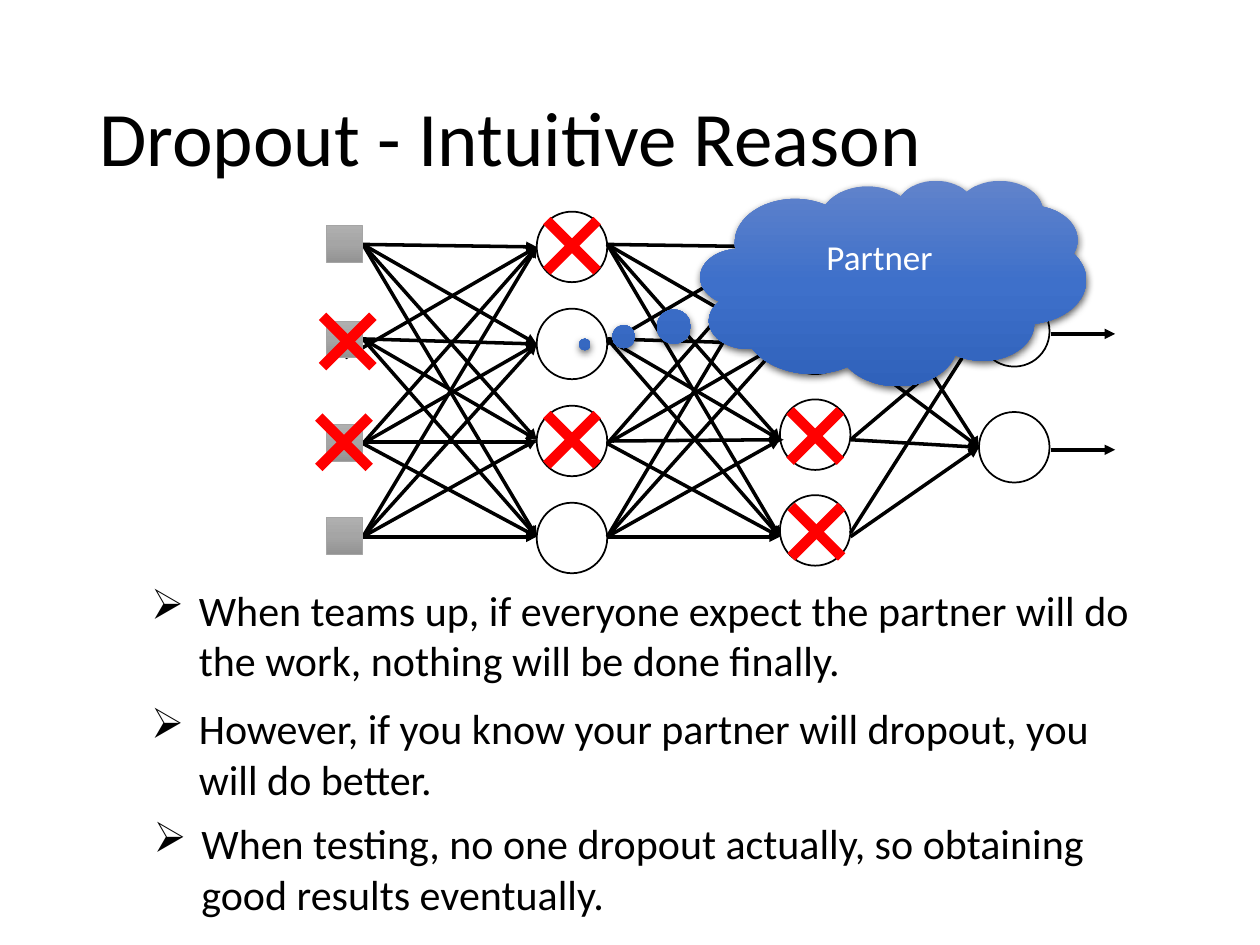
from copy import deepcopy
from itertools import product

from lxml.etree import SubElement
from pptx import Presentation
from pptx.dml.color import RGBColor
from pptx.enum.shapes import MSO_CONNECTOR, MSO_SHAPE
from pptx.enum.text import MSO_ANCHOR, PP_ALIGN
from pptx.oxml import parse_xml
from pptx.oxml.ns import nsdecls, qn
from pptx.util import Inches, Pt

BLACK = RGBColor(0x00, 0x00, 0x00)
WHITE = RGBColor(0xFF, 0xFF, 0xFF)
RED = RGBColor(0xFF, 0x00, 0x00)
GRAY = RGBColor(0xA5, 0xA5, 0xA5)
GRAYS = (RGBColor(0xAF, 0xAF, 0xAF), GRAY, RGBColor(0x93, 0x93, 0x93))
BLUES = (RGBColor(0x61, 0x83, 0xCB), RGBColor(0x3E, 0x70, 0xCA), RGBColor(0x30, 0x62, 0xBB))

STARTS = (1.94, 2.69, 3.52, 4.26)
ENDS = (1.96, 2.73, 3.49, 4.26)
LAYERS = (
    (2.88, 4.26, {(2.69, 1.96): (2.74, 2.84, 4.26, 1.96),
                  (3.52, 3.49): (2.9, 3.51, 4.26, 3.51)}),
    (4.82, 6.19, {(2.69, 1.96): (4.82, 2.73, 6.19, 1.93),
                  (3.52, 3.49): (4.86, 3.5, 6.22, 3.49)}),
)
FANS = ((2.63, (1.92, 2.75, 3.49, 4.23)), (3.55, (1.96, 2.79, 3.49, 4.26)))
INPUTS = (1.79, 2.55, 3.37, 4.11)
NODES = ((4.26, 1.68, 4, 0.77), (6.19, 1.65, 4, 0.76), (7.77, 2.35, 2, 0.92))
DROPS = ((4.34, 1.75), (4.34, 3.29), (6.27, 3.26), (6.28, 4.02), (2.53, 3.31), (2.56, 2.51))
POINTS = (
    (1.1, 4.59, 7.98, "When teams up, if everyone expect the partner will do the work, "
     "nothing will be done finally."),
    (1.1, 5.53, 7.72, "However, if you know your partner will dropout, you will do better."),
    (1.12, 6.44, 8.02, "When testing, no one dropout actually, so obtaining good results "
     "eventually."),
)


class Deck:
    """Holds the slide and its shared style."""

    font = "Calibri"

    def __init__(self, slide):
        self.slide = slide
        self.shapes = slide.shapes

    def run(self, para, text, size, color):
        run = para.add_run()
        run.text = text
        run.font.name = self.font
        run.font.size = Pt(size)
        run.font.color.rgb = color

    def text(self, x, y, w, h, words, size, bullet=None):
        frame = self.shapes.add_textbox(Inches(x), Inches(y), Inches(w), Inches(h)).text_frame
        frame.word_wrap = True
        para = frame.paragraphs[0]
        if bullet:
            props = para._p.get_or_add_pPr()
            props.set("marL", str(Inches(0.38)))
            props.set("indent", str(-Inches(0.38)))
            SubElement(props, qn("a:buChar")).set("char", bullet)
        self.run(para, words, size, BLACK)
        return frame

    def shape(self, kind, x, y, w, h, grads=None, edge=None, width=1):
        item = self.shapes.add_shape(kind, Inches(x), Inches(y), Inches(w), Inches(h))
        item.shadow.inherit = False
        if grads:
            self.grade(item, grads)
        else:
            item.fill.background()
        if edge is None:
            item.line.fill.background()
        else:
            item.line.color.rgb = edge
            item.line.width = Pt(width)
        return item

    def grade(self, item, colors):
        item.fill.gradient()
        item.fill.gradient_angle = 270
        stops = item._element.spPr.find(qn("a:gradFill")).find(qn("a:gsLst"))
        stops.insert(1, deepcopy(stops[0]))
        for i, (stop, color) in enumerate(zip(item.fill.gradient_stops, colors)):
            stop.position = i / 2
            stop.color.rgb = color

    def line(self, x1, y1, x2, y2, color=BLACK, width=2, arrow=True):
        link = self.shapes.add_connector(
            MSO_CONNECTOR.STRAIGHT, Inches(x1), Inches(y1), Inches(x2), Inches(y2))
        link.line.color.rgb = color
        link.line.width = Pt(width)
        props = link._element.spPr
        if arrow:
            SubElement(props.find(qn("a:ln")), qn("a:tailEnd")).set("type", "triangle")
        SubElement(props, qn("a:effectLst"))

    def cross(self, x, y, size=0.4):
        self.line(x, y, x + size, y + size, RED, 6, False)
        self.line(x + size, y, x, y + size, RED, 6, False)

    def cloud(self, x, y, w, h, words):
        item = self.shape(MSO_SHAPE.CLOUD_CALLOUT, x, y, w, h, BLUES)
        item.adjustments[0] = -0.8
        item.adjustments[1] = 0.3
        glow = item._element.spPr.find(qn("a:effectLst"))
        glow.append(parse_xml(
            f'<a:outerShdw {nsdecls("a")} blurRad="{Pt(4.5)}" dist="{Pt(1.5)}" '
            'dir="5400000" rotWithShape="0"><a:srgbClr val="000000">'
            '<a:alpha val="63000"/></a:srgbClr></a:outerShdw>'))
        frame = item.text_frame
        frame.word_wrap = True
        frame.vertical_anchor = MSO_ANCHOR.MIDDLE
        frame.margin_bottom = Inches(0.39)
        para = frame.paragraphs[0]
        para.alignment = PP_ALIGN.CENTER
        self.run(para, words, 20, WHITE)


def main():
    show = Presentation()
    show.slide_width, show.slide_height = Inches(10), Inches(7.5)
    deck = Deck(show.slides.add_slide(show.slide_layouts[6]))

    title = deck.text(0.69, 0.4, 8.62, 1.45, "Dropout - Intuitive Reason", 44)
    title.vertical_anchor = MSO_ANCHOR.MIDDLE
    title.paragraphs[0].line_spacing = 0.9

    for x, top, count, step in NODES:
        for row in range(count):
            deck.shape(MSO_SHAPE.OVAL, x, top + row * step, 0.56, 0.56, edge=BLACK)
    for left, right, odd in LAYERS:
        for start, end in product(STARTS, ENDS):
            deck.line(*odd.get((start, end), (left, start, right, end)))
    for end, starts in FANS:
        for start in starts:
            deck.line(6.75, start, 7.77, end)
    for y in (2.65, 3.57):
        deck.line(8.34, y, 8.85, y)
    for y in INPUTS:
        deck.shape(MSO_SHAPE.RECTANGLE, 2.59, y, 0.29, 0.29, GRAYS, GRAY, 0.5)

    deck.cloud(5.56, 1.43, 3.06, 1.63, "Partner")
    for x, y in DROPS:
        deck.cross(x, y)
    for x, y, w, words in POINTS:
        deck.text(x, y, w, 0.91, words, 24, "➢")
    show.save("out.pptx")


if __name__ == "__main__":
    main()
